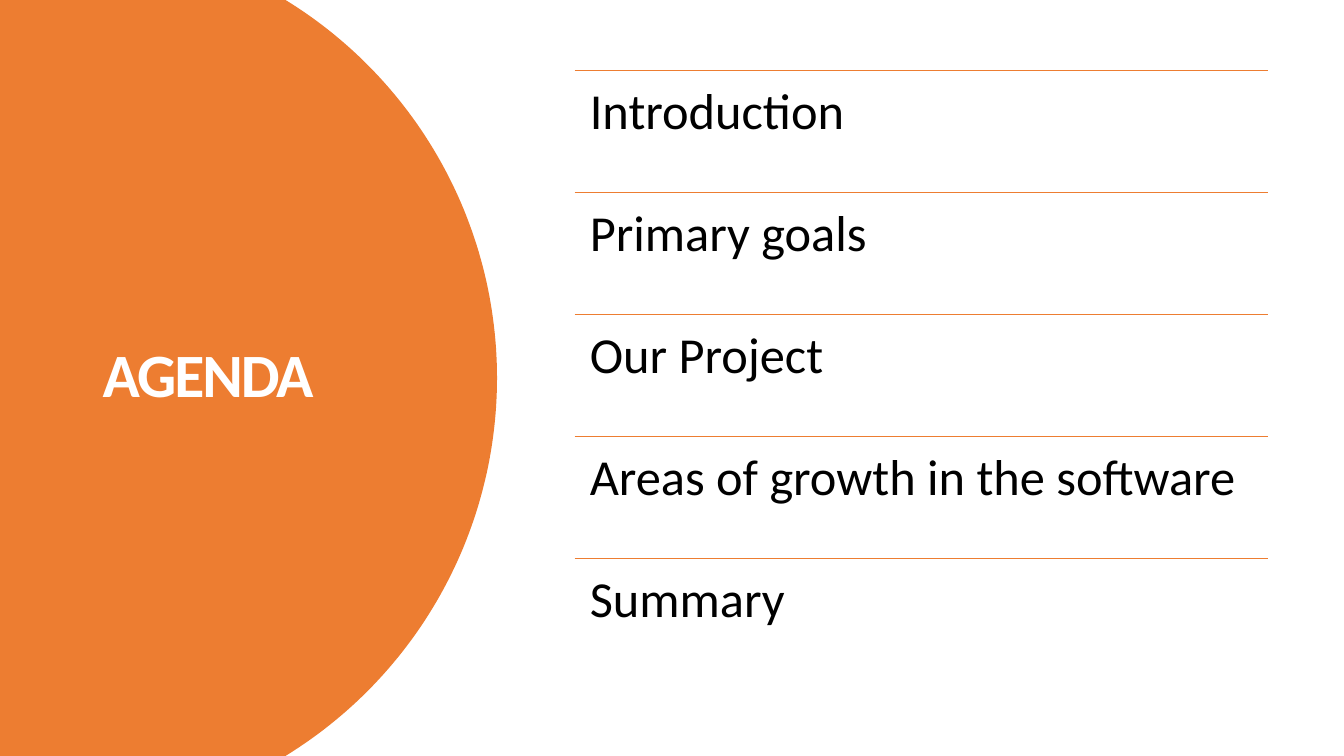
from math import asin, cos, sin

from lxml.etree import SubElement
from pptx import Presentation
from pptx.dml.color import RGBColor
from pptx.enum.shapes import MSO_CONNECTOR
from pptx.enum.text import MSO_ANCHOR
from pptx.oxml.ns import qn
from pptx.util import Inches, Pt

ORANGE = RGBColor(0xED, 0x7D, 0x31)
WHITE = RGBColor(0xFF, 0xFF, 0xFF)
BLACK = RGBColor(0x00, 0x00, 0x00)


def add_text(slide, text, box, inset, size, color):
    label = slide.shapes.add_textbox(*[Inches(v) for v in box])
    frame = label.text_frame
    frame.word_wrap = True
    frame.margin_left = frame.margin_right = Inches(inset)
    frame.margin_top = frame.margin_bottom = Inches(inset)
    paragraph = frame.paragraphs[0]
    paragraph.line_spacing = 0.9
    run = paragraph.add_run()
    run.text = text
    run.font.name = "Calibri"
    run.font.size = Pt(size)
    run.font.color.rgb = color
    return frame, run


prs = Presentation()
prs.slide_width = Inches(13.33)
prs.slide_height = Inches(7.5)
slide = prs.slides.add_slide(prs.slide_layouts[6])
slide.background.fill.solid()
slide.background.fill.fore_color.rgb = WHITE

center_x, center_y, radius = 0.53, 3.75, 4.4
half_angle = asin(center_y / radius)
steps = 120
angles = [half_angle * (2 * i / steps - 1) for i in range(steps + 1)]
arc = [
    (Inches(center_x + radius * cos(a)), Inches(center_y + radius * sin(a)))
    for a in angles
]
outline = slide.shapes.build_freeform(0, 0)
outline.add_line_segments(arc + [(0, Inches(7.5))], close=True)
dome = outline.convert_to_shape()
dome.shadow.inherit = False
dome.fill.solid()
dome.fill.fore_color.rgb = ORANGE
dome.line.fill.background()

title_frame, title = add_text(
    slide, "AGENDA", (0.92, 0.7, 3.23, 6.09), 0.1, 44, WHITE
)
title_frame.vertical_anchor = MSO_ANCHOR.MIDDLE
title.font.bold = True
title.font._element.set("spc", "-150")

topics = [
    "Introduction",
    "Primary goals",
    "Our Project",
    "Areas of growth in the software",
    "Summary",
]
left, first_top, width, row_height = 5.7, 0.7, 6.88, 1.21
for row, topic in enumerate(topics):
    top = first_top + row * row_height
    rule = slide.shapes.add_connector(
        MSO_CONNECTOR.STRAIGHT,
        Inches(left), Inches(top), Inches(left + width), Inches(top),
    )
    rule.line.color.rgb = ORANGE
    rule.line.width = Pt(1)
    SubElement(rule._element.spPr, qn("a:effectLst"))
    add_text(slide, topic, (left, top, width, row_height), 0.15, 36, BLACK)

prs.save("out.pptx")
